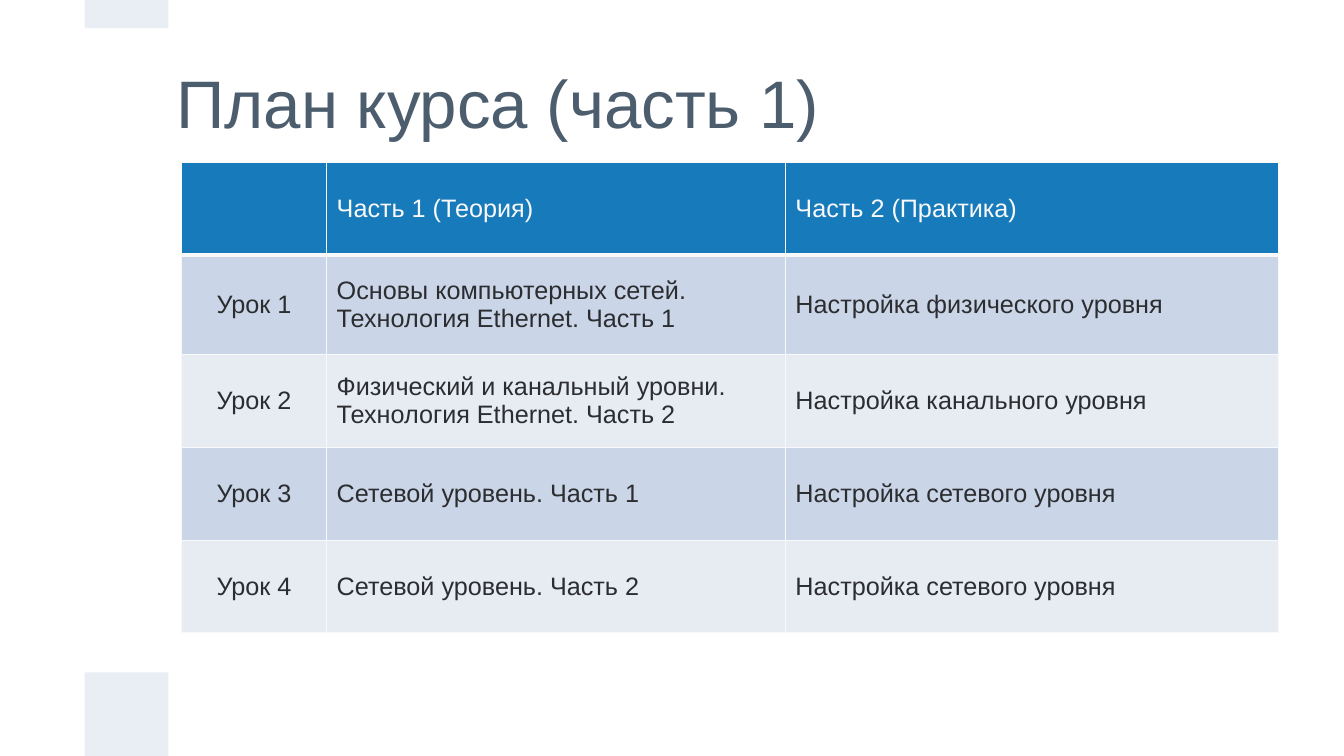
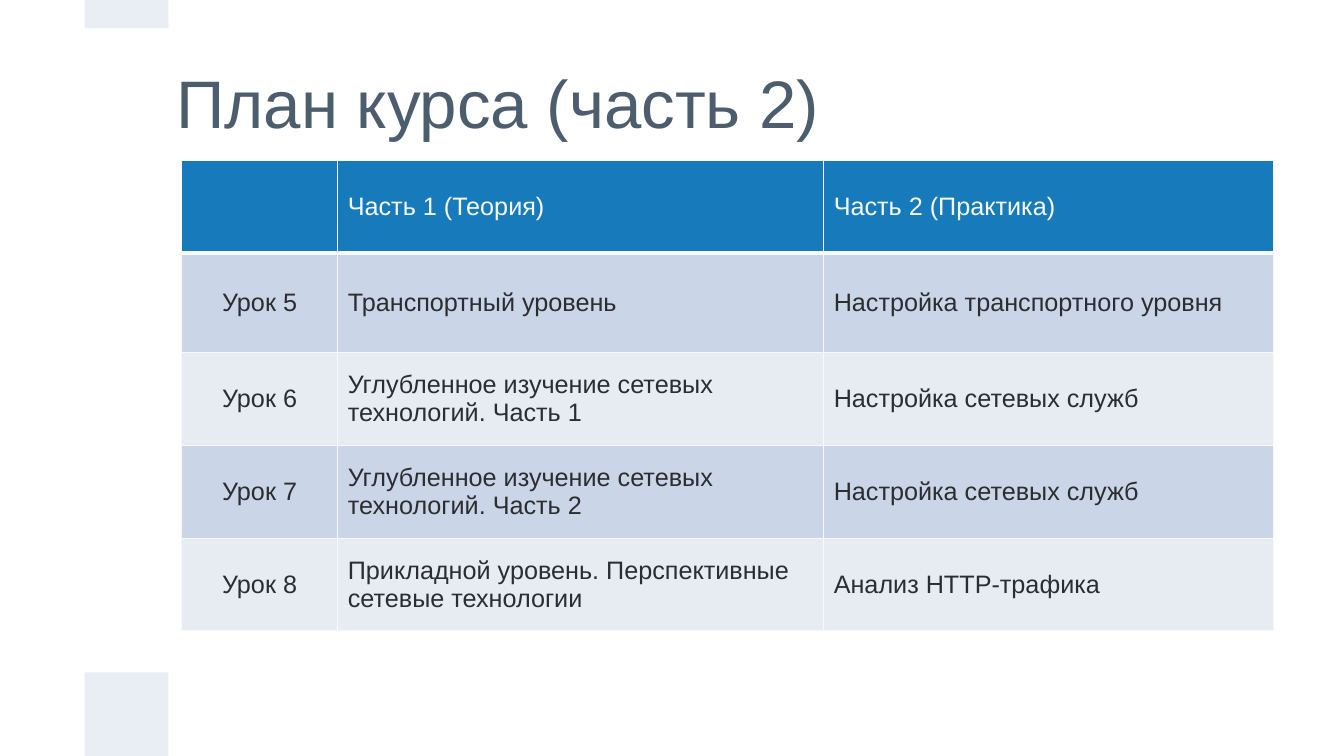
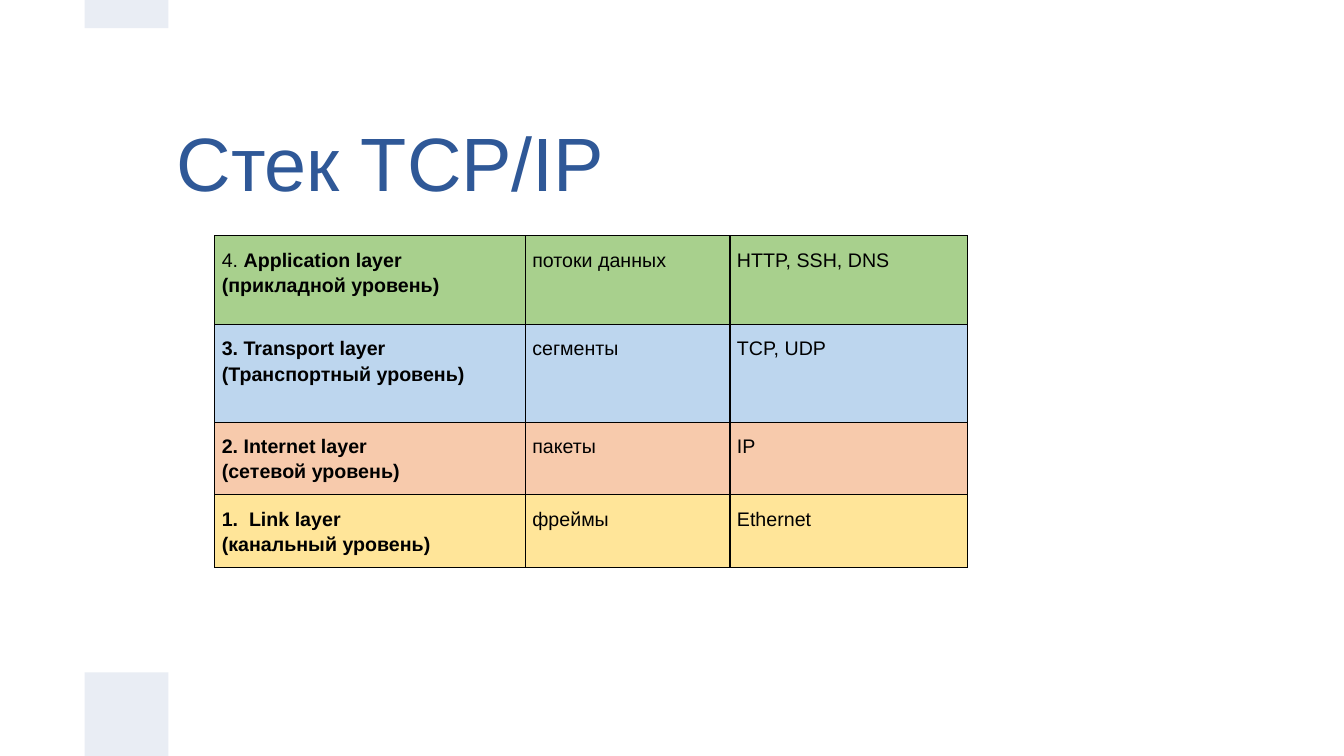
"""Build three course slides: two lesson plans and the TCP/IP stack."""
from lxml import etree
from pptx import Presentation
from pptx.dml.color import RGBColor
from pptx.enum.shapes import MSO_SHAPE
from pptx.enum.text import MSO_ANCHOR, MSO_AUTO_SIZE, PP_ALIGN
from pptx.oxml.ns import qn
from pptx.util import Inches, Pt

RECT = MSO_SHAPE.RECTANGLE
MID, TOP = MSO_ANCHOR.MIDDLE, MSO_ANCHOR.TOP
LEFT, CENTER = PP_ALIGN.LEFT, PP_ALIGN.CENTER
FIXED = MSO_AUTO_SIZE.NONE

HEX = {
    "band": "E9EDF4", "slate": "4C5D6E", "navy": "2F5897", "head": "177BBB",
    "odd": "CAD6E7", "even": "E7ECF3", "pale": "F9F9FB", "ink": "2C2D30",
    "black": "000000", "green": "A8D08D", "blue": "BDD6EE",
    "peach": "F7CAAC", "sand": "FFE599",
}
BANDS = [(0, 0.28), (6.67, 0.83)]
HEAD = ("", "Часть 1 (Теория)", "Часть 2 (Практика)")
PLANS = [
    {"title": "План курса (часть 1)", "top": 1.61, "cols": [1.44, 4.55, 4.89],
     "rows": [
         ("Урок 1", "Основы компьютерных сетей. Технология Ethernet. Часть 1",
          "Настройка физического уровня"),
         ("Урок 2", "Физический и канальный уровни. Технология Ethernet. Часть 2",
          "Настройка канального уровня"),
         ("Урок 3", "Сетевой уровень. Часть 1", "Настройка сетевого уровня"),
         ("Урок 4", "Сетевой уровень. Часть 2", "Настройка сетевого уровня")]},
    {"title": "План курса (часть 2)", "top": 1.59, "cols": [1.55, 4.82, 4.46],
     "rows": [
         ("Урок 5", "Транспортный уровень", "Настройка транспортного уровня"),
         ("Урок 6", "Углубленное изучение сетевых технологий. Часть 1",
          "Настройка сетевых служб"),
         ("Урок 7", "Углубленное изучение сетевых технологий. Часть 2",
          "Настройка сетевых служб"),
         ("Урок 8", "Прикладной уровень. Перспективные сетевые технологии",
          "Анализ HTTP-трафика")]},
]
PLAN_HIGH = [0.92, 0.99, 0.92, 0.92, 0.92]
STACK = [
    ("green", 0.88, "4. ", "Application layer (прикладной уровень)",
     "потоки данных", "HTTP, SSH, DNS"),
    ("blue", 0.97, "", "3. Transport layer (Транспортный уровень)",
     "сегменты", "TCP, UDP"),
    ("peach", 0.72, "", "2. Internet layer\n(сетевой уровень)", "пакеты", "IP"),
    ("sand", 0.72, "", "1.  Link layer\n(канальный уровень)", "фреймы", "Ethernet"),
]
STACK_COLS = [3.08, 2.03, 2.36]


def pads(side, edge):
    """Return margins for the sides and for the top and bottom."""
    return {"margin_left": Inches(side), "margin_right": Inches(side),
            "margin_top": Inches(edge), "margin_bottom": Inches(edge)}


PLAN_CELL = {"vertical_anchor": MID, **pads(0.1, 0.05)}
STACK_CELL = {"vertical_anchor": TOP, **pads(0.07, 0.1)}
TITLE_FRAME = {"vertical_anchor": MID, "word_wrap": True, "auto_size": FIXED}
TITLE_PARA = {"alignment": LEFT, "line_spacing": 0.9}


def put(item, form):
    """Set each named value on an object."""
    for name, val in form.items():
        setattr(item, name, val)


def tint(fill, hue):
    """Make a fill solid in a named colour."""
    fill.solid()
    fill.fore_color.rgb = RGBColor.from_string(HEX[hue])


def write(para, text, size, hue, bold=False):
    """Add one formatted run."""
    run = para.add_run()
    run.text = text
    put(run.font, {"name": "Arial", "size": Pt(size), "bold": bold})
    run.font.color.rgb = RGBColor.from_string(HEX[hue])


def edge(cell, hue, top=1, low=1):
    """Draw the four borders of a cell."""
    props = cell._tc.get_or_add_tcPr()
    for spot, (side, wide) in enumerate(zip("LRTB", (1, 1, top, low))):
        line = etree.Element(qn(f"a:ln{side}"), w=str(Pt(wide)))
        fill = etree.SubElement(line, qn("a:solidFill"))
        etree.SubElement(fill, qn("a:srgbClr"), val=HEX[hue])
        props.insert(spot, line)


def add_grid(slide, left, top, cols, high):
    """Add a plain table with given column widths and row heights."""
    grid = slide.shapes.add_table(
        len(high), len(cols), Inches(left), Inches(top),
        Inches(sum(cols)), Inches(sum(high))).table
    put(grid, {"first_row": False, "horz_banding": False})
    for col, wide in zip(grid.columns, cols):
        col.width = Inches(wide)
    for row, tall in zip(grid.rows, high):
        row.height = Inches(tall)
    return grid


def add_page(deck, text, top, size, hue, pad):
    """Add a slide with its title."""
    slide = deck.slides.add_slide(deck.slide_layouts[5])
    title = slide.shapes.title
    put(title, {"left": Inches(1.65), "top": Inches(top),
                "width": Inches(10.03), "height": Inches(1.65)})
    frame = title.text_frame
    put(frame, {**TITLE_FRAME, **pads(0.1, pad)})
    put(frame.paragraphs[0], TITLE_PARA)
    write(frame.paragraphs[0], text, size, hue)
    return slide


def add_bands(deck, slide):
    """Draw the bands and move them to the slide master."""
    tree = deck.slide_master.shapes.element
    for num, (top, tall) in enumerate(BANDS):
        band = slide.shapes.add_shape(
            RECT, Inches(0.84), Inches(top), Inches(0.83), Inches(tall))
        band.shadow.inherit = False
        tint(band.fill, "band")
        band.line.fill.background()
        band.element.nvSpPr.cNvPr.set("id", str(100 + num))
        tree.insert(2 + num, band.element)


def add_plan(deck, plan):
    """Add a lesson plan slide."""
    slide = add_page(deck, plan["title"], 0.23, 48, "slate", 0.05)
    grid = add_grid(slide, 1.8, plan["top"], plan["cols"], PLAN_HIGH)
    for r, row in enumerate([HEAD, *plan["rows"]]):
        back = "head" if r == 0 else ("even", "odd")[r % 2]
        for c, text in enumerate(row):
            cell = grid.cell(r, c)
            put(cell, PLAN_CELL)
            tint(cell.fill, back)
            edge(cell, "pale", 3 if r == 1 else 1, 3 if r == 0 else 1)
            para = cell.text_frame.paragraphs[0]
            para.alignment = LEFT if c else CENTER
            if text:
                write(para, text, 18, "ink" if r else "pale")
    return slide


def add_stack(deck):
    """Add the protocol stack slide."""
    slide = add_page(deck, "Стек TCP/IP", 0.83, 54, "navy", 0.1)
    grid = add_grid(slide, 2.13, 2.34, STACK_COLS, [row[1] for row in STACK])
    for r, (back, _, lead, *row) in enumerate(STACK):
        for c, text in enumerate(row):
            cell = grid.cell(r, c)
            put(cell, STACK_CELL)
            tint(cell.fill, back)
            edge(cell, "black")
            frame = cell.text_frame
            for n, part in enumerate(text.split("\n")):
                para = frame.add_paragraph() if n else frame.paragraphs[0]
                para.line_spacing = 1.15
                if lead and c == 0:
                    write(para, lead, 14, "black")
                write(para, part, 14, "black", c == 0)


def main():
    """Build and save the deck."""
    deck = Presentation()
    put(deck, {"slide_width": Inches(13.33), "slide_height": Inches(7.5)})
    pages = [add_plan(deck, plan) for plan in PLANS]
    add_stack(deck)
    add_bands(deck, pages[0])
    deck.save("out.pptx")


if __name__ == "__main__":
    main()
